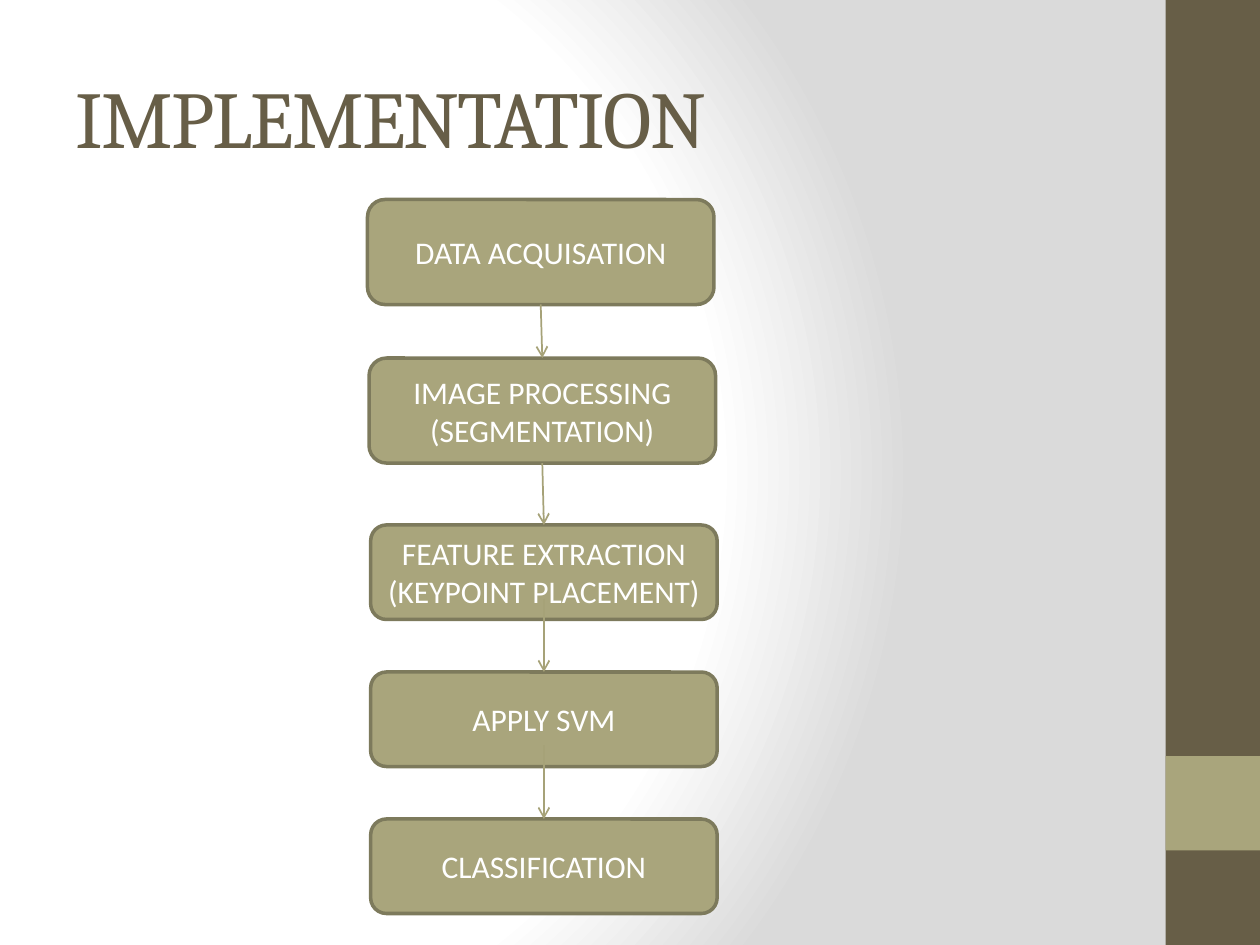
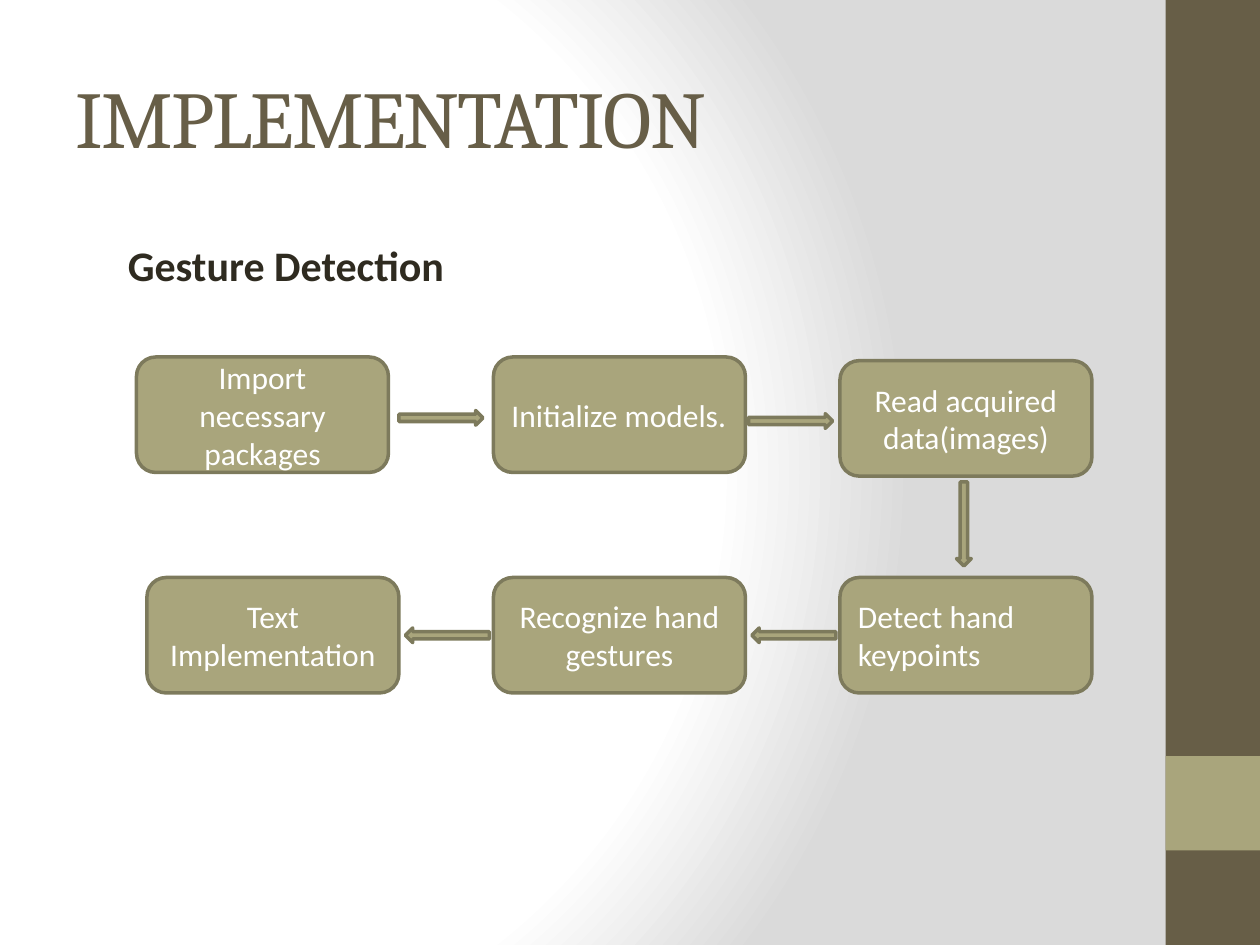
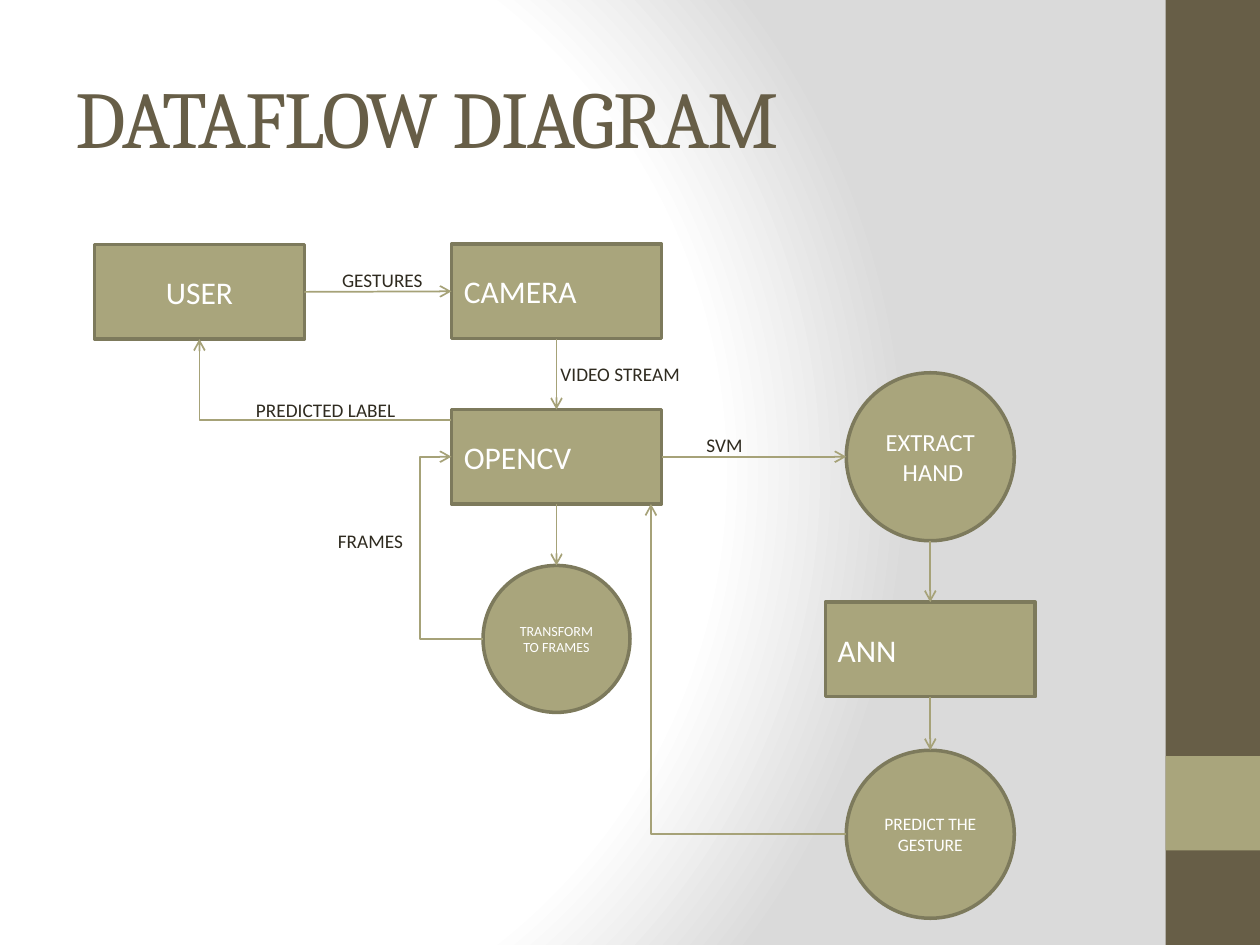
import lxml.etree
import pptx
import pptx.dml.color
import pptx.enum.shapes
import pptx.enum.text
import pptx.oxml
import pptx.oxml.ns
import pptx.util

DARK_OLIVE = pptx.dml.color.RGBColor(0x67, 0x5E, 0x47)
OLIVE = pptx.dml.color.RGBColor(0xA9, 0xA5, 0x7C)
OUTLINE = pptx.dml.color.RGBColor(0x7D, 0x7A, 0x5C)
ARROW = pptx.dml.color.RGBColor(0xA6, 0xA2, 0x78)
INK = pptx.dml.color.RGBColor(0x2F, 0x2B, 0x20)
WHITE = pptx.dml.color.RGBColor(0xFF, 0xFF, 0xFF)

SHAPES = pptx.enum.shapes.MSO_SHAPE
CONNECTORS = pptx.enum.shapes.MSO_CONNECTOR
LEFT = pptx.enum.text.PP_ALIGN.LEFT
CENTER = pptx.enum.text.PP_ALIGN.CENTER
JUSTIFY = pptx.enum.text.PP_ALIGN.JUSTIFY
qn = pptx.oxml.ns.qn

presentation = pptx.Presentation()
presentation.slide_width = pptx.util.Inches(10)
presentation.slide_height = pptx.util.Inches(7.5)
UNIT = presentation.slide_width / 120


def draw_box(slide, kind, place, text="", size=18, alignment=CENTER):
    box = slide.shapes.add_shape(kind, *[round(UNIT * cells) for cells in place])
    box.shadow.inherit = False
    box.fill.solid()
    box.fill.fore_color.rgb = OLIVE
    box.line.color.rgb = OUTLINE
    box.line.width = pptx.util.Pt(2)
    for index, line in enumerate(text.splitlines()):
        frame = box.text_frame
        paragraph = frame.add_paragraph() if index else frame.paragraphs[0]
        paragraph.alignment = alignment
        run = paragraph.add_run()
        run.text = line
        run.font.name = "Calibri"
        run.font.size = pptx.util.Pt(size)
        run.font.color.rgb = WHITE
    return box


def draw_arrow(slide, ends, kind=CONNECTORS.STRAIGHT):
    arrow = slide.shapes.add_connector(kind, *[round(UNIT * cells) for cells in ends])
    arrow.line.color.rgb = ARROW
    arrow.line.width = pptx.util.Pt(1)
    properties = arrow.element.spPr
    lxml.etree.SubElement(properties.find(qn("a:ln")), qn("a:tailEnd"), type="arrow")
    lxml.etree.SubElement(properties, qn("a:effectLst"))
    return arrow


master = presentation.slide_master
master.background.fill.solid()
background = master.element.find(".//" + qn("p:bgPr"))
background.replace(background.find(qn("a:solidFill")), pptx.oxml.parse_xml(
    f'<a:gradFill {pptx.oxml.ns.nsdecls("a")} rotWithShape="1"><a:gsLst>'
    '<a:gs pos="0"><a:srgbClr val="FFFFFF"/></a:gs>'
    '<a:gs pos="75000"><a:srgbClr val="FFFFFF"/></a:gs>'
    '<a:gs pos="100000"><a:srgbClr val="DADADA"/></a:gs></a:gsLst>'
    '<a:path path="circle"><a:fillToRect l="20000" t="50000" r="100000" b="50000"/>'
    '</a:path></a:gradFill>'))

slides = []
for heading in ("IMPLEMENTATION", "IMPLEMENTATION", "DATAFLOW DIAGRAM"):
    slide = presentation.slides.add_slide(presentation.slide_layouts[5])
    slides.append(slide)
    title = slide.shapes.title
    title.left, title.top, title.width, title.height = [
        round(UNIT * cells) for cells in (6, 3.6, 100, 15)]
    title.text_frame.auto_size = pptx.enum.text.MSO_AUTO_SIZE.NONE
    title.text_frame.vertical_anchor = pptx.enum.text.MSO_ANCHOR.MIDDLE
    paragraph = title.text_frame.paragraphs[0]
    paragraph.alignment = LEFT
    run = paragraph.add_run()
    run.text = heading
    run.font.name = "Cambria"
    run.font.size = pptx.util.Pt(46)
    run.font.color.rgb = DARK_OLIVE
    run.font.element.set("spc", "-100") if hasattr(run.font, "element") else run._r.get_or_add_rPr().set("spc", "-100")

steps_slide, gesture_slide, dataflow_slide = slides

bands = [((111, 0, 9, 90), DARK_OLIVE), ((111, 72, 9, 9), OLIVE)]
for index, (place, color) in enumerate(bands):
    band = draw_box(steps_slide, SHAPES.RECTANGLE, place)
    band.fill.fore_color.rgb = color
    band.line.fill.background()
    band.element.nvSpPr.cNvPr.set("id", str(101 + index))
    master.shapes.element.insert(2 + index, band.element)

steps = [
    (35, 19, 10, "DATA ACQUISATION"),
    (35.15, 34.1, 10, "IMAGE PROCESSING\n(SEGMENTATION)"),
    (35.3, 50, 9, "FEATURE EXTRACTION\n(KEYPOINT PLACEMENT)"),
    (35.3, 64, 9, "APPLY SVM"),
    (35.3, 78, 9, "CLASSIFICATION"),
]
previous = None
for index, (left, top, height, text) in enumerate(steps):
    step = draw_box(steps_slide, SHAPES.ROUNDED_RECTANGLE, (left, top, 33, height), text)
    if previous:
        middle = left + 33 / 2
        arrow = draw_arrow(steps_slide, (middle, top - 7, middle, top))
        if index < 3:
            arrow.begin_connect(previous, 2)
        arrow.end_connect(step, 0)
    previous = step

for left, top, text, alignment in [
    (13, 34, "Import necessary packages", CENTER),
    (47, 34, "Initialize models.", LEFT),
    (80, 34.35, "Read acquired data(images)", CENTER),
    (80, 55, "Detect hand keypoints", LEFT),
    (47, 55, "Recognize hand gestures", CENTER),
    (14, 55, "Text Implementation", CENTER),
]:
    draw_box(gesture_slide, SHAPES.ROUNDED_RECTANGLE, (left, top, 24, 11), text,
             alignment=alignment)

for left, top, rotation in [(38, 39.1, 0), (71.3, 39.4, 0), (87.8, 49.2, 90),
                            (71.6, 59.8, 180), (38.6, 59.8, 180)]:
    block_arrow = draw_box(gesture_slide, SHAPES.RIGHT_ARROW, (left, top, 8, 1.4))
    block_arrow.rotation = rotation

user, camera, opencv, ann = [
    draw_box(dataflow_slide, SHAPES.RECTANGLE, (left, top, 20, 9), text, 18, alignment)
    for left, top, text, alignment in [
        (9, 23.3, "USER", CENTER),
        (43, 23.25, "CAMERA", JUSTIFY),
        (43, 39, "OPENCV", JUSTIFY),
        (78.6, 57.35, "ANN", JUSTIFY),
    ]]
transform, predict, extract = [
    draw_box(dataflow_slide, SHAPES.OVAL, (left, top, side, side), text, size)
    for left, top, side, text, size in [
        (46, 53.85, 14, "TRANSFORM TO FRAMES", 8),
        (80.6, 71.45, 16, "PREDICT THE GESTURE", 10),
        (80.6, 35.5, 16, "EXTRACT  HAND", 14),
    ]]

for ends, source, source_site, target, target_site in [
    ((29, 27.75, 43, 27.75), user, 3, camera, 1),
    ((53, 32.25, 53, 39), camera, 2, opencv, 0),
    ((53, 48, 53, 53.85), opencv, 2, transform, 0),
    ((63, 43.5, 80.6, 43.5), opencv, 3, None, None),
    ((88.6, 51.5, 88.6, 57.35), None, None, ann, 0),
    ((88.6, 66.35, 88.6, 71.45), ann, 2, predict, 0),
]:
    arrow = draw_arrow(dataflow_slide, ends)
    if source:
        arrow.begin_connect(source, source_site)
    if target:
        arrow.end_connect(target, target_site)

for ends, preset in [
    ((80.6, 79.45, 62, 48), "bentConnector2"),
    ((46, 60.85, 43, 43.5), "bentConnector3"),
    ((43, 40, 19, 32.3), "bentConnector2"),
]:
    arrow = draw_arrow(dataflow_slide, ends, CONNECTORS.ELBOW)
    geometry = arrow.element.spPr.find(qn("a:prstGeom"))
    geometry.set("prst", preset)
    if preset == "bentConnector3":
        geometry.get_or_add_avLst().append(pptx.oxml.parse_xml(
            f'<a:gd {pptx.oxml.ns.nsdecls("a")} name="adj1" fmla="val 200000"/>'))

for slide, place, text, size, bold in [
    (gesture_slide, (11, 22.2, 32.9, 6), "Gesture Detection", 24, True),
    (dataflow_slide, (31.4, 25, 10.2, 3.5), "GESTURES", 11, False),
    (dataflow_slide, (23.2, 37.3, 15.8, 3.5), "PREDICTED LABEL", 11, False),
    (dataflow_slide, (52.2, 33.9, 13.9, 3.5), "VIDEO STREAM", 11, False),
    (dataflow_slide, (66.1, 40.7, 5.9, 3.5), "SVM", 11, False),
    (dataflow_slide, (31, 49.8, 8.6, 3.5), "FRAMES", 11, False),
]:
    label = slide.shapes.add_textbox(*[round(UNIT * cells) for cells in place])
    label.text_frame.word_wrap = False
    label.text_frame.auto_size = pptx.enum.text.MSO_AUTO_SIZE.SHAPE_TO_FIT_TEXT
    run = label.text_frame.paragraphs[0].add_run()
    run.text = text
    run.font.name = "Calibri"
    run.font.size = pptx.util.Pt(size)
    run.font.bold = bold
    run.font.color.rgb = INK

presentation.save("out.pptx")
